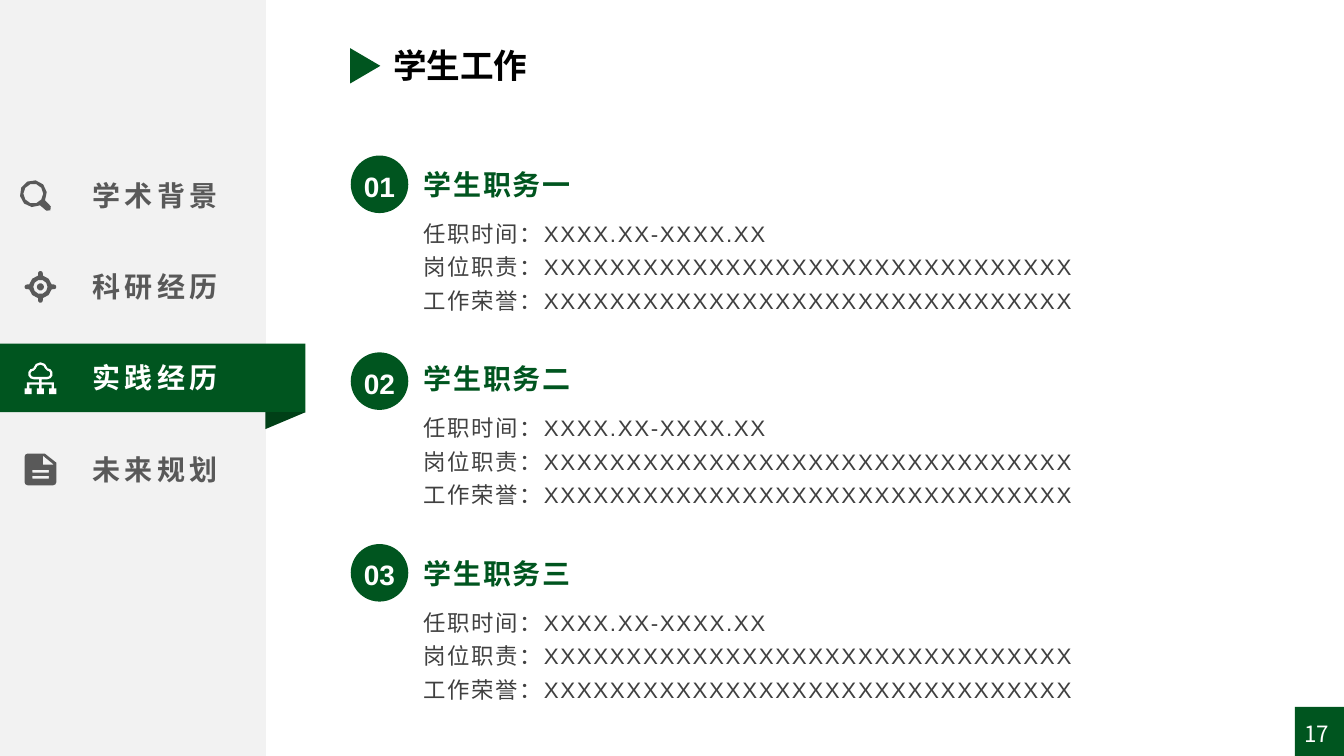
from dataclasses import dataclass
from math import cos, radians, sin
from typing import NamedTuple

from lxml import etree
from pptx import Presentation
from pptx.dml.color import RGBColor
from pptx.enum.shapes import MSO_SHAPE
from pptx.enum.text import MSO_ANCHOR, MSO_AUTO_SIZE, PP_ALIGN
from pptx.oxml.ns import qn
from pptx.util import Cm, Pt

RECT, OVAL, WEDGE = MSO_SHAPE.RECTANGLE, MSO_SHAPE.OVAL, MSO_SHAPE.ISOSCELES_TRIANGLE
TOP, MIDDLE = MSO_ANCHOR.TOP, MSO_ANCHOR.MIDDLE
LEFT, CENTER, RIGHT = PP_ALIGN.LEFT, PP_ALIGN.CENTER, PP_ALIGN.RIGHT
GROW = MSO_AUTO_SIZE.SHAPE_TO_FIT_TEXT

Point = tuple[float, float]
Path = list[Point]


@dataclass(frozen=True)
class Theme:
    green: RGBColor = RGBColor(0x00, 0x55, 0x1F)
    shade: RGBColor = RGBColor(0x00, 0x40, 0x17)
    panel: RGBColor = RGBColor(0xF2, 0xF2, 0xF2)
    gray: RGBColor = RGBColor(0x59, 0x59, 0x59)
    body: RGBColor = RGBColor(0x40, 0x40, 0x40)
    black: RGBColor = RGBColor(0x00, 0x00, 0x00)
    white: RGBColor = RGBColor(0xFF, 0xFF, 0xFF)
    latin: str = "Arial"
    asian: str = "Noto Sans CJK SC"
    title: int = 24
    head: int = 20
    text: int = 16


THEME = Theme()


class Box(NamedTuple):
    left: float
    top: float
    width: float
    height: float


class Style(NamedTuple):
    size: int
    color: RGBColor
    font: str
    bold: bool = False
    gap: float = 0
    align: PP_ALIGN = LEFT
    lines: float | Pt | None = None


class Entry(NamedTuple):
    label: str
    left: float
    icon: list[Path]


class Post(NamedTuple):
    mark: str
    name: str
    disc: float


def arc(x: float, y: float, r: float, start: float, stop: float) -> Path:
    steps = max(2, round((stop - start) / 36))
    turns = [radians(start + (stop - start) * i / steps) for i in range(steps + 1)]
    return [(x + r * cos(t), y + r * sin(t)) for t in turns]


def ring(x: float, y: float, r: float) -> Path:
    return arc(x, y, r, 0, 360)[:-1]


def block(x: float, y: float, w: float, h: float) -> Path:
    return [(x, y), (x + w, y), (x + w, y + h), (x, y + h)]


def lens() -> list[Path]:
    rim = arc(0.35, 0.35, 0.34, 60, 390) + [(0.79, 0.67), (0.78, 0.77), (0.68, 0.78)]
    return [rim, ring(0.35, 0.35, 0.25)]


def target() -> list[Path]:
    rim: Path = []
    for turn in range(0, 360, 90):
        rim += arc(0.4, 0.4, 0.29, turn + 12, turn + 78)
        angle = radians(turn + 90)
        rim += arc(0.4 + 0.34 * cos(angle), 0.4 + 0.34 * sin(angle), 0.06, turn, turn + 180)
    return [rim, ring(0.4, 0.4, 0.18), ring(0.4, 0.4, 0.09)]


def cloud(trim: float) -> Path:
    side = 0.14 - trim
    return (arc(0.23, 0.29, side, 90, 270) + arc(0.4, 0.18, 0.18 - trim, 190, 350)
            + arc(0.57, 0.29, side, 270, 450))


def network() -> list[Path]:
    paths = [cloud(0), cloud(0.06), block(0.37, 0.43, 0.06, 0.08), block(0.06, 0.51, 0.68, 0.05)]
    for x in (0, 0.31, 0.62):
        paths += [block(x + 0.06, 0.56, 0.06, 0.1), block(x, 0.66, 0.18, 0.14)]
    return paths


def page() -> list[Path]:
    edge = (arc(0.08, 0.08, 0.08, 180, 270) + [(0.51, 0), (0.8, 0.23)]
            + arc(0.72, 0.72, 0.08, 0, 90) + arc(0.08, 0.72, 0.08, 90, 180))
    fold = [(0.46, 0.05), (0.74, 0.28), (0.46, 0.28)]
    return [edge, fold, block(0.2, 0.41, 0.41, 0.07), block(0.2, 0.56, 0.41, 0.07)]


def paint(shape, color: RGBColor) -> None:
    shape.fill.solid()
    shape.fill.fore_color.rgb = color
    shape.line.fill.background()
    shape.shadow.inherit = False


def place(shape, box: Box) -> None:
    shape.left, shape.top, shape.width, shape.height = map(Cm, box)


def draw(slide, kind: MSO_SHAPE, box: Box, color: RGBColor, turn: float = 0):
    shape = slide.shapes.add_shape(kind, *map(Cm, box))
    paint(shape, color)
    shape.rotation = turn
    return shape


def trace(slide, left: float, top: float, paths: list[Path], color: RGBColor) -> None:
    spots = [[(Cm(left + x), Cm(top + y)) for x, y in path] for path in paths]
    pen = slide.shapes.build_freeform(*spots[0][0])
    for i, path in enumerate(spots):
        if i:
            pen.move_to(*path[0])
        pen.add_line_segments(path[1:], close=True)
    paint(pen.convert_to_shape(), color)


def write(frame, lines: list[str], style: Style) -> None:
    for i, line in enumerate(lines):
        para = frame.add_paragraph() if i else frame.paragraphs[0]
        para.alignment = style.align
        if style.lines:
            para.line_spacing = style.lines
        run = para.add_run()
        run.text = line
        font = run.font
        font.size, font.bold, font.name = Pt(style.size), style.bold, style.font
        font.color.rgb = style.color
        props = run._r.get_or_add_rPr()
        props.set("spc", str(round(style.gap * 100)))
        asian = etree.Element(qn("a:ea"), typeface=THEME.asian)
        props.find(qn("a:latin")).addnext(asian)


def label(slide, box: Box, lines: list[str], style: Style, wrap: bool = False,
          anchor: MSO_ANCHOR = TOP) -> None:
    frame = slide.shapes.add_textbox(*map(Cm, box)).text_frame
    frame.word_wrap, frame.auto_size, frame.vertical_anchor = wrap, GROW, anchor
    write(frame, lines, style)


def menu(slide, items: list[Entry], active: int) -> None:
    for i, item in enumerate(items):
        shift = i * 2.3
        color = THEME.white if i == active else THEME.gray
        style = Style(THEME.head, color, THEME.asian, True, 3, CENTER)
        label(slide, Box(2.03, 4.37 + shift, 3.76, 1.12), [item.label], style)
        trace(slide, item.left, 4.53 + shift, item.icon, color)


def report(slide, posts: list[Post], facts: list[str]) -> None:
    count = Style(THEME.head, THEME.white, THEME.latin, True, 0, CENTER, Pt(26.6))
    head = Style(THEME.head, THEME.green, THEME.latin, True, 1.2)
    body = Style(THEME.text, THEME.body, THEME.latin, False, 1.2, LEFT, 1.25)
    for i, post in enumerate(posts):
        shift = i * 4.9
        disc = draw(slide, OVAL, Box(8.84, post.disc, 1.45, 1.45), THEME.green)
        frame = disc.text_frame
        frame.word_wrap, frame.vertical_anchor = False, MIDDLE
        frame.margin_left = frame.margin_right = Cm(0.1)
        frame.margin_top = frame.margin_bottom = Cm(0.1)
        write(frame, [post.mark], count)
        label(slide, Box(10.43, 4.09 + shift, 4.27, 1.12), [post.name], head)
        label(slide, Box(10.43, 5.25 + shift, 17.83, 2.82), facts, body, True)


def main() -> None:
    deck = Presentation()
    deck.slide_width, deck.slide_height = Cm(33.87), Cm(19.05)
    slide = deck.slides.add_slide(deck.slide_layouts[5])

    draw(slide, RECT, Box(0, 0, 6.7, 19.05), THEME.panel)
    draw(slide, RECT, Box(32.63, 17.81, 1.24, 1.24), THEME.green)
    label(slide, Box(26.13, 17.98, 7.62, 1.02), ["17"],
          Style(THEME.text, THEME.white, THEME.asian, align=RIGHT), True, MIDDLE)
    draw(slide, RECT, Box(0, 8.66, 7.7, 1.73), THEME.green)
    fold = draw(slide, WEDGE, Box(6.98, 10.09, 0.43, 1.02), THEME.shade, 90)
    fold.adjustments[0] = 0

    menu(slide, [
        Entry("学术背景", 0.49, lens()),
        Entry("科研经历", 0.62, target()),
        Entry("实践经历", 0.62, network()),
        Entry("未来规划", 0.62, page()),
    ], active=2)

    draw(slide, WEDGE, Box(8.76, 1.28, 0.89, 0.76), THEME.green, 90)
    title = slide.shapes.title
    place(title, Box(9.65, 1, 4, 1.27))
    frame = title.text_frame
    frame.word_wrap, frame.auto_size, frame.vertical_anchor = False, GROW, TOP
    write(frame, ["学生工作"], Style(THEME.title, THEME.black, THEME.asian, True))

    fill = "X" * 32
    report(slide, [
        Post("01", "学生职务一", 3.92),
        Post("02", "学生职务二", 8.88),
        Post("03", "学生职务三", 13.71),
    ], ["任职时间：XXXX.XX-XXXX.XX", f"岗位职责：{fill}", f"工作荣誉：{fill}"])

    deck.save("out.pptx")


if __name__ == "__main__":
    main()
